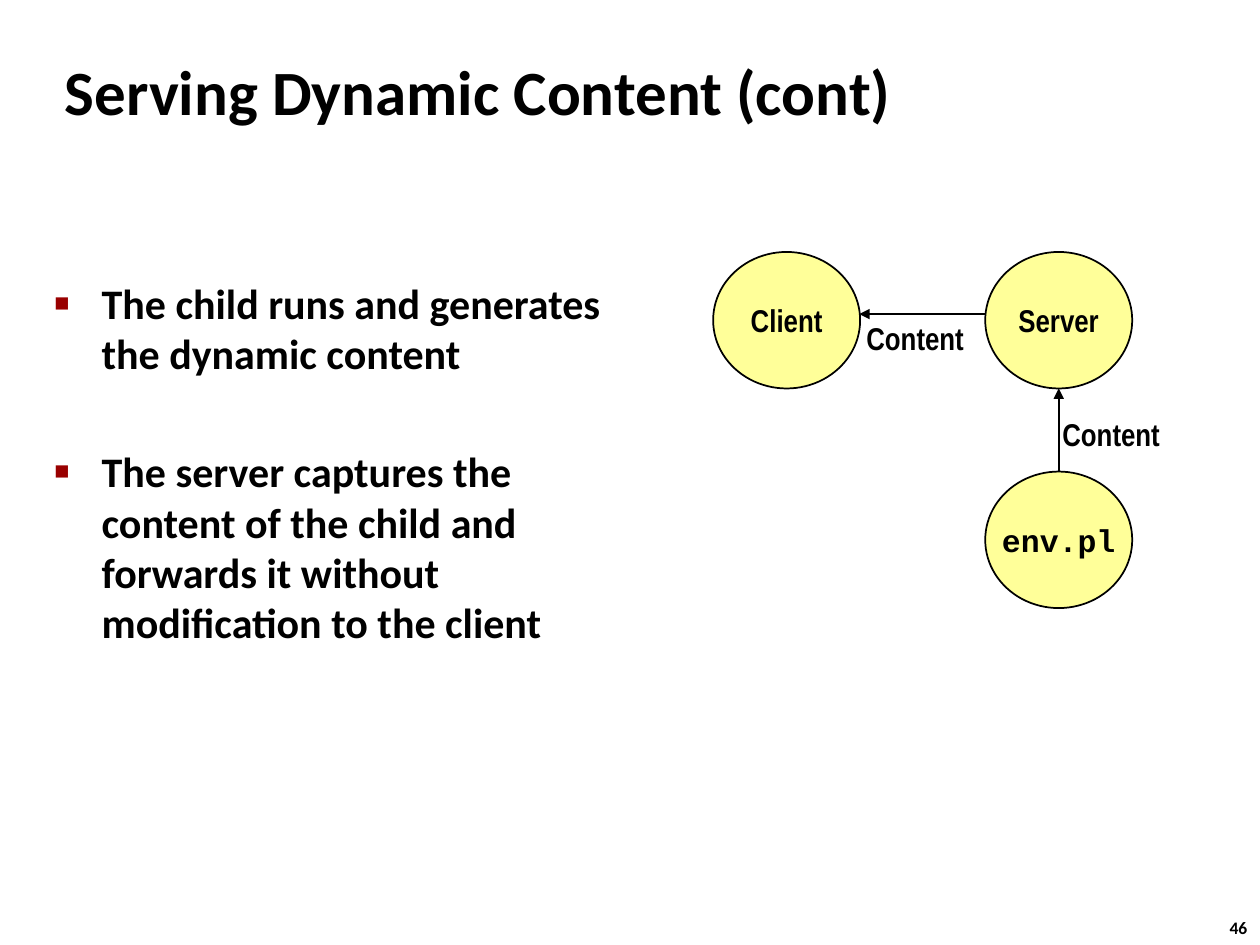
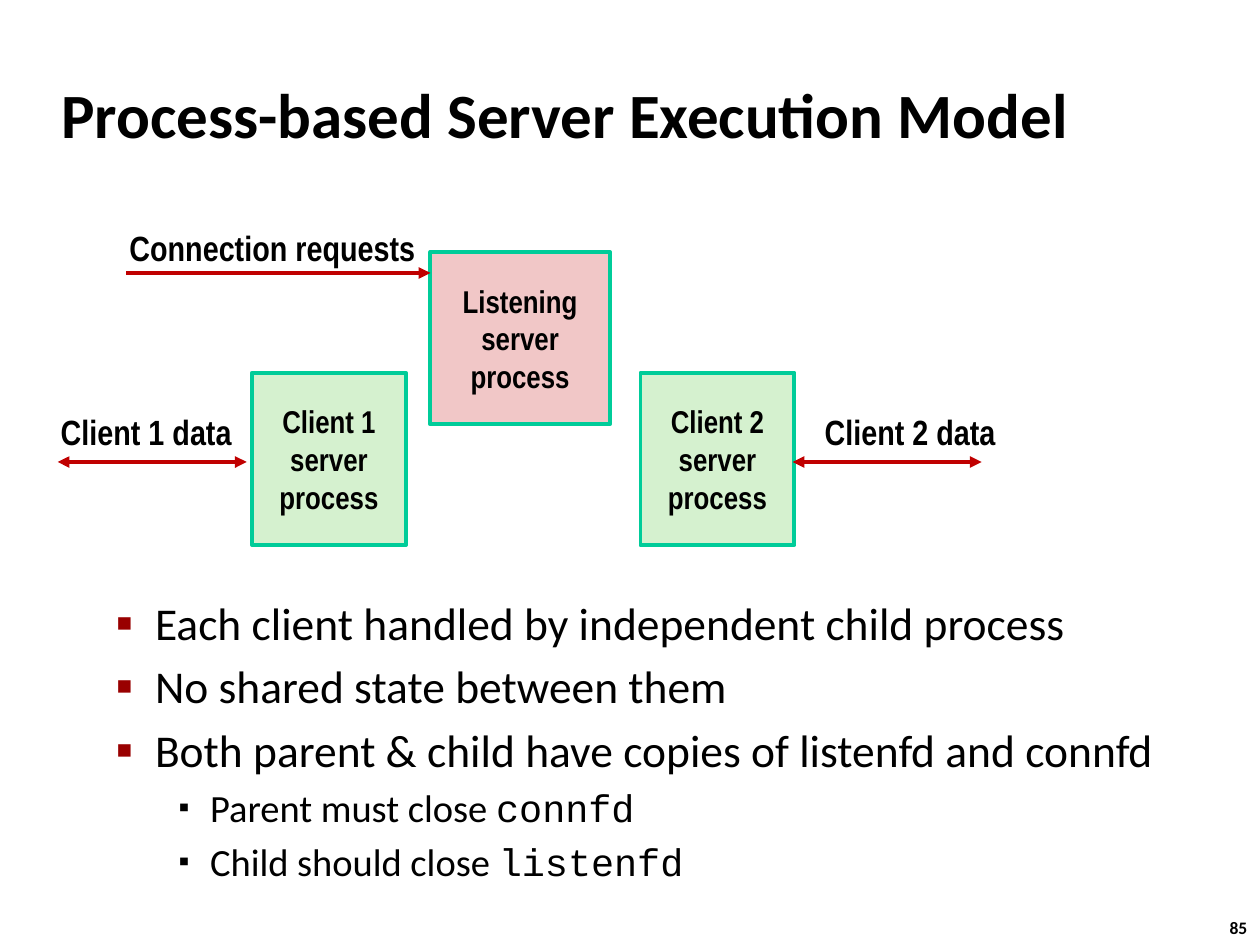
from lxml import etree
from pptx import Presentation
from pptx.dml.color import RGBColor
from pptx.enum.shapes import MSO_CONNECTOR as Connector, MSO_SHAPE as Shape
from pptx.enum.text import MSO_ANCHOR as Anchor, PP_ALIGN as Align
from pptx.oxml.ns import qn
from pptx.util import Pt

# Shared look
BLACK, DARK_RED, ARROW_RED = "000000", "990000", "C00000"
YELLOW, GREEN, PINK, TEAL = "FFFF99", "D5F1CF", "F1C7C7", "00CC99"
BODY, LABEL, CODE = "Calibri", "Arial Narrow", "Courier New"
PAGE_WIDTH, PAGE_HEIGHT = 720, 540


def color(hex_code):
    return RGBColor.from_string(hex_code)


def style(font, size, name, bold=True):
    font.size, font.name, font.bold = Pt(size), name, bold
    font.color.rgb = color(BLACK)


def add_text(page, text, place, size, name, align=Align.LEFT,
             anchor=Anchor.TOP, wrap=False):
    box = page.shapes.add_textbox(*map(Pt, place))
    frame = box.text_frame
    frame.word_wrap = wrap
    frame.vertical_anchor = anchor
    para = frame.paragraphs[0]
    para.text, para.alignment = text, align
    style(para.font, size, name)


def add_page(deck, title, title_place, number, anchor=Anchor.TOP):
    page = deck.slides.add_slide(deck.slide_layouts[6])
    add_text(page, number, (695.5, 520.5, 26.5, 19.5), 10, BODY)
    add_text(page, title, title_place, 36, BODY, anchor=anchor, wrap=True)
    return page


def add_node(page, kind, lines, place, fill, line, width, name=LABEL):
    node = page.shapes.add_shape(kind, *map(Pt, place))
    node.shadow.inherit = False
    node.fill.solid()
    node.fill.fore_color.rgb = color(fill)
    node.line.color.rgb = color(line)
    node.line.width = Pt(width)
    frame = node.text_frame
    frame.word_wrap = False
    frame.vertical_anchor = Anchor.MIDDLE
    for index, line_text in enumerate(lines):
        para = frame.add_paragraph() if index else frame.paragraphs[0]
        para.text, para.alignment = line_text, Align.CENTER
        style(para.font, 18, name)


def add_arrow(page, start, end, line, width, both_ends=False):
    arrow = page.shapes.add_connector(Connector.STRAIGHT,
                                      *map(Pt, (*start, *end)))
    arrow.line.color.rgb = color(line)
    arrow.line.width = Pt(width)
    outline = arrow.line._get_or_add_ln()
    for tag in ("a:headEnd", "a:tailEnd") if both_ends else ("a:tailEnd",):
        etree.SubElement(outline, qn(tag), type="triangle")
    etree.SubElement(arrow._element.spPr, qn("a:effectLst"))


def add_bullet(para, char, scale, margin, hang, bullet_color):
    props = para._p.get_or_add_pPr()
    props.set("marL", str(Pt(margin)))
    props.set("indent", str(-Pt(hang)))
    tint = etree.SubElement(props, qn("a:buClr"))
    etree.SubElement(tint, qn("a:srgbClr"), val=bullet_color)
    etree.SubElement(props, qn("a:buSzPct"), val=str(scale * 1000))
    etree.SubElement(props, qn("a:buFont"), typeface="Arial")
    etree.SubElement(props, qn("a:buChar"), char=char)


def add_bullets(page, place, items):
    """Each item: text, code ending, size, bold, space before, bullet."""
    frame = page.shapes.add_textbox(*map(Pt, place)).text_frame
    frame.word_wrap = True
    for index, (text, code, size, bold, gap, bullet) in enumerate(items):
        para = frame.add_paragraph() if index else frame.paragraphs[0]
        add_bullet(para, *bullet)
        if index:
            para.space_before = Pt(gap)
        style(para.font, size, BODY, bold)
        para.add_run().text = text
        if code:
            span = para.add_run()
            span.text, span.font.name = code, CODE


def build_dynamic_content(deck):
    page = add_page(deck, "Serving Dynamic Content (cont)",
                    (30, 26.5, 648, 45.5), "46")

    # Explanation
    bullet = ("■", 60, 27, 27, DARK_RED)
    add_bullets(page, (24, 155, 337.5, 350.5), [
        ("The child runs and generates the dynamic content",
         "", 24, True, 0, bullet),
        ("The server captures the content of the child and forwards it "
         "without modification to the client", "", 24, True, 38.5, bullet),
    ])

    # Processes
    for text, left, top, name in (("Client", 407.5, 144, LABEL),
                                  ("Server", 563, 144, LABEL),
                                  ("env.pl", 563, 269.5, CODE)):
        add_node(page, Shape.OVAL, [text], (left, top, 84, 78),
                 YELLOW, BLACK, 1, name)

    # Flow of content
    add_arrow(page, (605, 269.5), (605, 222), BLACK, 1)
    add_arrow(page, (563, 179.5), (491, 179.5), BLACK, 1)
    for left, top in ((600, 233.5), (488, 178.5)):
        add_text(page, "Content", (left, top, 80, 29), 18, LABEL,
                 anchor=Anchor.MIDDLE)


def build_execution_model(deck):
    page = add_page(deck, "Process-based Server Execution Model",
                    (28, 34.5, 597.5, 60), "85", Anchor.MIDDLE)

    # Server processes
    for owner, left, top, width, fill in (
            ("Client 1", 144, 213, 88, GREEN),
            ("Client 2", 366, 213, 88, GREEN),
            ("Listening", 246, 144, 102.5, PINK)):
        add_node(page, Shape.RECTANGLE, [owner, "server", "process"],
                 (left, top, width, 98.5), fill, TEAL, 2.25)

    # Requests and data
    for text, left, top, width in (
            ("Connection requests", 57.5, 126, 187),
            ("Client 1 data", 19.5, 231, 120),
            ("Client 2 data", 456, 231, 120)):
        add_text(page, text, (left, top, width, 31.5), 20, LABEL, Align.RIGHT)
    add_arrow(page, (72, 156), (246, 156), ARROW_RED, 2.25)
    for left in (33, 453):
        add_arrow(page, (left, 264), (left + 108, 264), ARROW_RED, 2.25, True)

    # Properties of the model
    main_bullet = ("▪", 110, 58.5, 22.5, DARK_RED)
    sub_bullet = ("▪", 80, 90, 18, BLACK)
    main_points = ("Each client handled by independent child process",
                   "No shared state between them",
                   "Both parent & child have copies of listenfd and connfd")
    sub_points = (("Parent must close ", "connfd"),
                  ("Child should close ", "listenfd"))
    add_bullets(page, (23, 336.5, 654.5, 160), [
        *((text, "", 26, False, 5, main_bullet) for text in main_points),
        *((text, code, 22, False, 4.4, sub_bullet)
          for text, code in sub_points),
    ])


def main():
    deck = Presentation()
    deck.slide_width, deck.slide_height = Pt(PAGE_WIDTH), Pt(PAGE_HEIGHT)
    build_dynamic_content(deck)
    build_execution_model(deck)
    deck.save("out.pptx")


if __name__ == "__main__":
    main()
